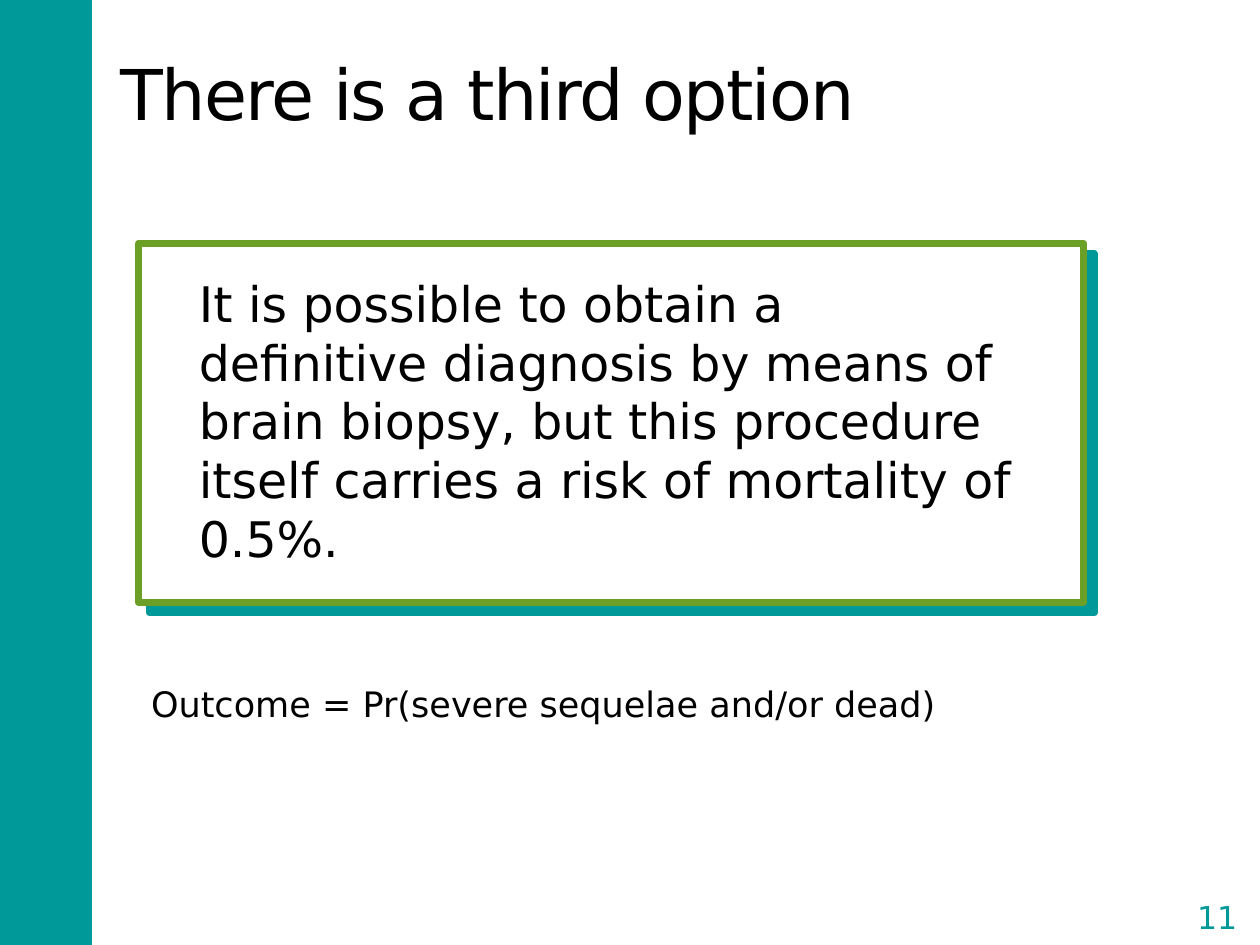
from lxml import etree
from pptx import Presentation
from pptx.dml.color import RGBColor
from pptx.enum import shapes, text
from pptx.oxml import ns
from pptx.util import Inches, Pt

TITLE = "There is a third option"
STATEMENT = ("It is possible to obtain a definitive diagnosis by means of brain biopsy, "
             "but this procedure itself carries a risk of mortality of 0.5%.")
OUTCOME = "Outcome = Pr(severe sequelae and/or dead)"
PAGE = "11"
FONT = "DejaVu Sans"
COLORS = {"teal": "009999", "green": "6B9F25", "white": "FFFFFF", "black": "000000"}
SHADOW_OFFSET = Pt(8.5)
SHADOW_ANGLE = 45


def color(name):
    return RGBColor.from_string(COLORS[name])


def place(shape, *box):
    shape.left, shape.top, shape.width, shape.height = map(Inches, box)


def write(shape, words, size, ink="black", align=text.PP_ALIGN.LEFT):
    shape.text_frame.text = words
    paragraph = shape.text_frame.paragraphs[0]
    paragraph.alignment = align
    font = paragraph.runs[0].font
    font.name, font.size = FONT, Pt(size)
    font.color.rgb = color(ink)
    return paragraph


def add_shape(kind, box, fill=None, line=None, weight=1):
    shape = slide.shapes.add_shape(kind, *map(Inches, box))
    shape.shadow.inherit = False
    if fill:
        shape.fill.solid()
        shape.fill.fore_color.rgb = color(fill)
    else:
        shape.fill.background()
    if line:
        shape.line.color.rgb = color(line)
        shape.line.width = Pt(weight)
    else:
        shape.line.fill.background()
    return shape


def add_text(box, words, size, wrap):
    label = slide.shapes.add_textbox(*map(Inches, box))
    label.text_frame.word_wrap = wrap
    return write(label, words, size)


def cast_shadow(shape, name):
    effects = shape._element.spPr.find(ns.qn("a:effectLst"))
    shadow = etree.SubElement(effects, ns.qn("a:outerShdw"), dist=str(SHADOW_OFFSET),
                              dir=str(SHADOW_ANGLE * 60000), algn="ctr", rotWithShape="0")
    etree.SubElement(shadow, ns.qn("a:srgbClr"), val=COLORS[name])


prs = Presentation()
prs.slide_width, prs.slide_height = Inches(10), Inches(7.5)
slide = prs.slides.add_slide(prs.slide_layouts[5])

add_shape(shapes.MSO_SHAPE.RECTANGLE, (-0.02, 0, 0.75, 7.5), "teal")
panel = add_shape(shapes.MSO_SHAPE.RECTANGLE, (1.1, 1.93, 7.5, 2.85), "white", "green", 4)
panel.line.fill.solid()
panel.line.fill.fore_color.rgb = color("green")
cast_shadow(panel, "teal")

title = slide.shapes.title
place(title, 0.86, 0.25, 7.97, 1.08)
title.text_frame.vertical_anchor = text.MSO_ANCHOR.MIDDLE
heading = write(title, TITLE, 40)
heading.line_spacing = 0.85
heading.runs[0].font._element.set("spc", "-100")

statement = add_text((1.1, 2.12, 7.15, 2.46), STATEMENT, 28, True)
statement._p.get_or_add_pPr().set("marL", str(Inches(0.38)))

page = add_shape(shapes.MSO_SHAPE.DOUBLE_BRACKET, (9.36, 7.06, 0.6, 0.43), line="white", weight=1.5)
page.adjustments[0] = 0.18
frame = page.text_frame
frame.margin_left = frame.margin_right = frame.margin_top = frame.margin_bottom = 0
frame.vertical_anchor = text.MSO_ANCHOR.MIDDLE
write(page, PAGE, 18, "teal", text.PP_ALIGN.CENTER)

add_text((1.1, 5.37, 6.52, 0.44), OUTCOME, 20, False)

prs.save("out.pptx")
